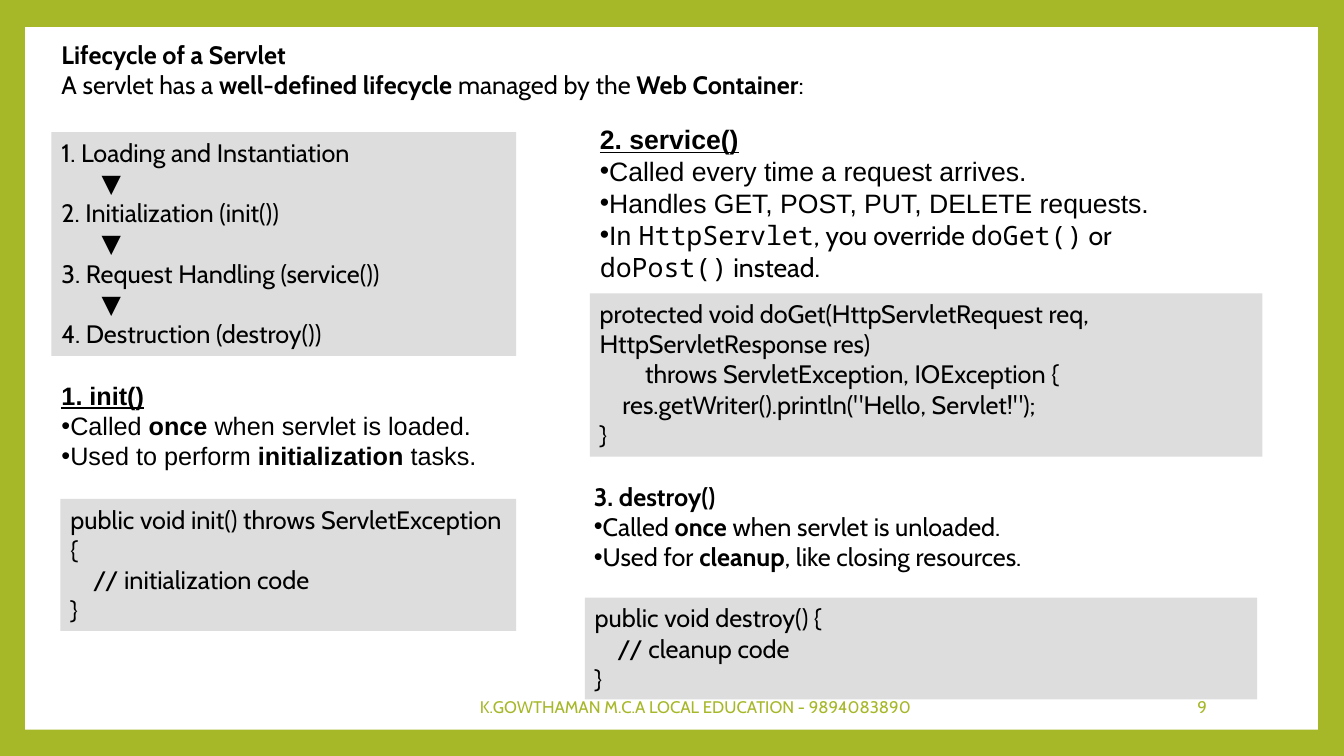
"""Build the servlet lifecycle slide with its method lists and code panels."""
from dataclasses import dataclass

from pptx import Presentation, util as u
from pptx.dml.color import RGBColor
from pptx.enum import shapes, text
from pptx.oxml.ns import qn
from lxml import etree

GREEN, WHITE, BLACK, GREY = "A6B727", "FFFFFF", "000000", "DDDDDD"
SANS, ARIAL, MONO = "Cabin", "Arial", "Noto Sans Mono"
LEFT, CENTER, RIGHT = text.PP_ALIGN.LEFT, text.PP_ALIGN.CENTER, text.PP_ALIGN.RIGHT
TOP, MIDDLE = text.MSO_ANCHOR.TOP, text.MSO_ANCHOR.MIDDLE
STEP = 0.225


@dataclass(frozen=True)
class Span:
    text: str
    bold: bool = False
    underline: bool = False
    font: str = ""


@dataclass(frozen=True)
class Line:
    spans: tuple[Span, ...]
    bullet: bool = False
    indent: float = 0


@dataclass(frozen=True)
class Block:
    at: tuple[float, float, float, float]
    lines: tuple[Line, ...]
    font: str = SANS
    size: float = 18
    color: str = BLACK
    align: text.PP_ALIGN = LEFT
    anchor: text.MSO_ANCHOR = TOP


def rgb(value: str) -> RGBColor:
    """Turn a hex string into a colour."""
    return RGBColor.from_string(value)


def rich(markup: str, bullet: bool = False) -> Line:
    """Make a line whose parts between asterisks are bold."""
    parts = enumerate(markup.split("*"))
    return Line(tuple(Span(part, bold=i % 2 == 1) for i, part in parts if part), bullet)


def heading(words: str) -> Line:
    """Make a bold underlined line."""
    return Line((Span(words, bold=True, underline=True),))


def code(*rows: tuple[int, str]) -> tuple[Line, ...]:
    """Make code lines from pairs of indent level and text."""
    return tuple(Line((Span(words),), indent=level * STEP) for level, words in rows)


def place(box, at: tuple[float, float, float, float]) -> None:
    """Move and size a shape in inches."""
    for name, value in zip(("left", "top", "width", "height"), at):
        setattr(box, name, u.Inches(value))


def write(box, block: Block) -> None:
    """Place a shape and fill it with the formatted lines of a block."""
    place(box, block.at)
    frame = box.text_frame
    frame_format = {"word_wrap": True, "auto_size": text.MSO_AUTO_SIZE.NONE,
                    "vertical_anchor": block.anchor}
    for name, value in frame_format.items():
        setattr(frame, name, value)
    for i, line in enumerate(block.lines):
        para = frame.add_paragraph() if i else frame.paragraphs[0]
        para_format = {"alignment": block.align, "line_spacing": 1.0,
                       "space_before": u.Pt(0), "space_after": u.Pt(0)}
        for name, value in para_format.items():
            setattr(para, name, value)
        props = para._p.get_or_add_pPr()
        props.set("marL", str(u.Inches(line.indent)))
        props.set("indent", "0")
        if line.bullet:
            etree.SubElement(props, qn("a:buFont")).set("typeface", ARIAL)
            etree.SubElement(props, qn("a:buChar")).set("char", "•")
        else:
            etree.SubElement(props, qn("a:buNone"))
        for span in line.spans:
            run = para.add_run()
            run.text = span.text
            run_format = {"name": span.font or block.font, "size": u.Pt(block.size),
                          "bold": span.bold, "underline": span.underline}
            for name, value in run_format.items():
                setattr(run.font, name, value)
            run.font.color.rgb = rgb(block.color)


def add_panel(page, at: tuple[float, float, float, float], color: str):
    """Add a plain filled rectangle."""
    panel = page.shapes.add_shape(shapes.MSO_SHAPE.RECTANGLE, *map(u.Inches, at))
    panel.shadow.inherit = False
    panel.fill.solid()
    panel.fill.fore_color.rgb = rgb(color)
    panel.line.fill.background()
    return panel


TITLE = Block((0.51, 0.34, 10.55, 0.71), (
    rich("*Lifecycle of a Servlet*"),
    rich("A servlet has a *well-defined lifecycle* managed by the *Web Container*:")))

LISTS = (
    Block((0.51, 3.72, 4.61, 1.31), (
        heading("1. init()"),
        rich("Called *once* when servlet is loaded.", True),
        rich("Used to perform *initialization* tasks.", True)), font=ARIAL),
    Block((5.85, 1.17, 6.58, 1.7), (
        heading("2. service()"),
        rich("Called every time a request arrives.", True),
        rich("Handles GET, POST, PUT, DELETE requests.", True),
        Line((Span("In "), Span("HttpServlet", font=MONO),
              Span(", you override ", font=SANS), Span("doGet()", font=MONO),
              Span(" or ", font=SANS), Span("doPost()", font=MONO),
              Span(" instead.", font=SANS)), bullet=True)), font=ARIAL, size=19),
    Block((5.79, 4.72, 6.67, 1.01), (
        rich("*3. destroy()*"),
        rich("Called *once* when servlet is unloaded.", True),
        rich("Used for *cleanup*, like closing resources.", True))),
)

ARROW = Line((Span("▼"),), indent=0.4)
STAGES = ("Loading and Instantiation", "Initialization (init())",
          "Request Handling (service())", "Destruction (destroy())")
FLOW = tuple(line for number, stage in enumerate(STAGES, 1)
             for line in (ARROW, rich(f"{number}. {stage}")))[1:]

PANELS = (
    Block((0.51, 1.31, 4.61, 2.22), FLOW),
    Block((0.6, 4.95, 4.52, 1.31), code(
        (0, "public void init() throws ServletException {"),
        (1, "// initialization code"),
        (0, "}"))),
    Block((5.85, 2.91, 6.67, 1.62), code(
        (0, "protected void doGet(HttpServletRequest req, HttpServletResponse res)"),
        (2, "throws ServletException, IOException {"),
        (1, 'res.getWriter().println("Hello, Servlet!");'),
        (0, "}"))),
    Block((5.8, 5.93, 6.67, 1.01), code(
        (0, "public void destroy() {"),
        (1, "// cleanup code"),
        (0, "}"))),
)

FOOTERS = (
    Block((4.32, 6.81, 5.16, 0.4),
          (rich("K.GOWTHAMAN M.C.A LOCAL EDUCATION - 9894083890"),),
          size=12, color=GREEN, align=CENTER, anchor=MIDDLE),
    Block((10.2, 6.81, 1.87, 0.4), (rich("9"),),
          size=12, color=GREEN, align=RIGHT, anchor=MIDDLE),
)


def main() -> None:
    """Create the deck and save it."""
    deck = Presentation()
    deck.slide_width, deck.slide_height = u.Inches(13.33), u.Inches(7.5)
    page = deck.slides.add_slide(deck.slide_layouts.get_by_name("Comparison"))
    page.background.fill.solid()
    page.background.fill.fore_color.rgb = rgb(GREEN)

    title, *bodies = page.placeholders
    sheet = add_panel(page, (0.25, 0.27, 12.82, 6.97), WHITE)
    title.element.addprevious(sheet.element)
    write(title, TITLE)
    for body, block in zip(bodies, LISTS):
        write(body, block)
    for body in bodies[len(LISTS):]:
        body.element.getparent().remove(body.element)

    for block in PANELS:
        write(add_panel(page, block.at, GREY), block)
    for block in FOOTERS:
        write(page.shapes.add_textbox(*map(u.Inches, block.at)), block)
    deck.save("out.pptx")


if __name__ == "__main__":
    main()
